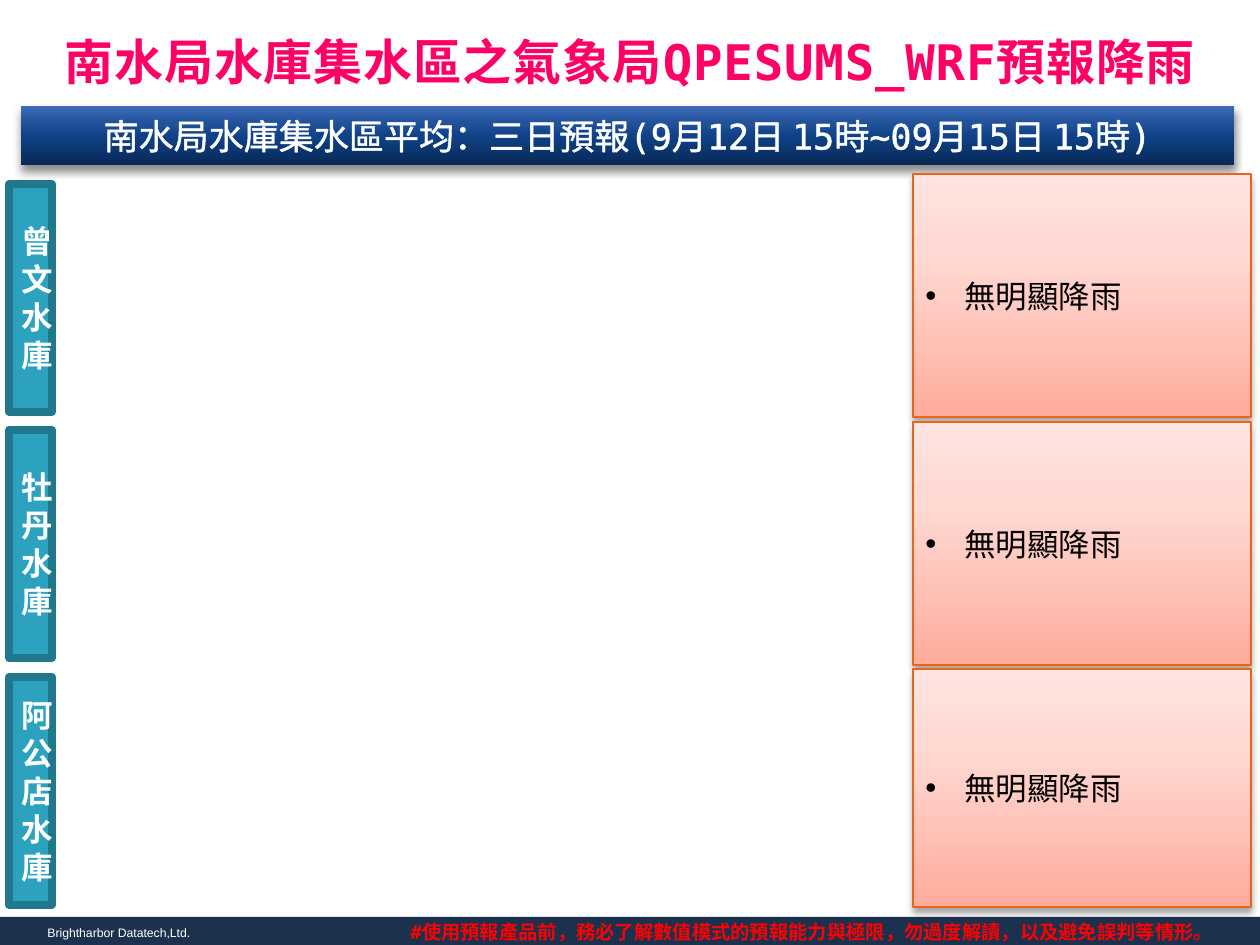
"""Build the reservoir rain forecast slide."""
from dataclasses import dataclass

from lxml import etree
from pptx import Presentation
from pptx.dml.color import RGBColor
from pptx.enum.shapes import MSO_SHAPE
from pptx.enum.text import MSO_ANCHOR, PP_ALIGN
from pptx.oxml import parse_xml
from pptx.oxml.ns import qn
from pptx.util import Pt

PX = 914400 // 126
RECT = MSO_SHAPE.RECTANGLE
TOP, MID = MSO_ANCHOR.TOP, MSO_ANCHOR.MIDDLE
LEFT, CENTER = PP_ALIGN.LEFT, PP_ALIGN.CENTER
MONO, SANS = "DejaVu Sans Mono", "Arial"
NS = 'xmlns:a="http://schemas.openxmlformats.org/drawingml/2006/main"'
INK = {
    "white": "FFFFFF", "black": "000000", "pink": "FF0066", "red": "FF0000",
    "navy": "1C314E", "teal": "2DA2BF", "edge": "21788D", "orange": "EB641B",
}
BLUES = ((0, "072956"), (50, "104288"), (70, "205199"), (100, "3D6BB9"))
PEACH = ((0, "FFAC9C"), (65, "FFD8D2"), (100, "FFE4DF"))


@dataclass(frozen=True)
class Box:
    """Place of an item in px."""
    x: int
    y: int
    w: int
    h: int

    def emu(self) -> tuple:
        """Return the place in EMU."""
        return tuple(n * PX for n in (self.x, self.y, self.w, self.h))


@dataclass(frozen=True)
class Dam:
    """A reservoir with its label and forecast panel."""
    name: str
    tag: Box
    panel: Box


DAMS = (
    Dam("曾文水庫", Box(9, 184, 43, 228), Box(913, 174, 338, 243)),
    Dam("牡丹水庫", Box(9, 430, 43, 228), Box(913, 422, 338, 243)),
    Dam("阿公店水庫", Box(9, 677, 43, 228), Box(913, 669, 338, 238)),
)


def tint(name: str) -> RGBColor:
    """Look up a colour."""
    return RGBColor.from_string(INK[name])


def write(shape, text: str, *, size: int, ink: str, font: str = MONO,
          bold: bool = False, align=LEFT, anchor=TOP, before: int = 0,
          track: int = 0, rim: int = 0, dot: bool = False) -> None:
    """Put one formatted paragraph in a shape."""
    frame = shape.text_frame
    frame.word_wrap = True
    frame.vertical_anchor = anchor
    para = frame.paragraphs[0]
    para.alignment = align
    para.space_before = Pt(before)
    run = para.add_run()
    run.text = text
    run.font.size = Pt(size)
    run.font.name = font
    run.font.bold = bold
    run.font.color.rgb = tint(ink)
    props = run.font._element
    if track:
        props.set("spc", str(track))
    if rim:
        props.insert(0, parse_xml(
            f'<a:ln {NS} w="{rim}"><a:solidFill><a:srgbClr val="{INK[ink]}"/>'
            '</a:solidFill></a:ln>'))
    if dot:
        head = para._p.get_or_add_pPr()
        head.set("marL", str(39 * PX))
        head.set("indent", str(-39 * PX))
        etree.SubElement(head, qn("a:buFont")).set("typeface", SANS)
        etree.SubElement(head, qn("a:buChar")).set("char", "•")


def block(slide, box: Box, fill: str, line: str = "", width: float = 0):
    """Draw a flat rectangle."""
    shape = slide.shapes.add_shape(RECT, *box.emu())
    shape.shadow.inherit = False
    shape.fill.solid()
    shape.fill.fore_color.rgb = tint(fill)
    if line:
        shape.line.color.rgb = tint(line)
        shape.line.width = Pt(width)
    else:
        shape.line.fill.background()
    return shape


def shade(shape, stops: tuple, alpha: int, blur: int, dist: int) -> None:
    """Give a shape an upward gradient and a drop shadow."""
    props = shape._element.spPr
    marks = "".join(f'<a:gs pos="{at * 1000}"><a:srgbClr val="{ink}"/></a:gs>'
                    for at, ink in stops)
    props.replace(props.find(qn("a:solidFill")), parse_xml(
        f'<a:gradFill {NS} rotWithShape="1"><a:gsLst>{marks}</a:gsLst>'
        '<a:lin ang="16200000" scaled="0"/></a:gradFill>'))
    props.find(qn("a:effectLst")).append(parse_xml(
        f'<a:outerShdw {NS} blurRad="{Pt(blur)}" dist="{Pt(dist)}" '
        'dir="5400000" rotWithShape="0">'
        f'<a:srgbClr val="{INK["black"]}"><a:alpha val="{alpha * 1000}"/>'
        '</a:srgbClr></a:outerShdw>'))


def label(slide, box: Box, text: str, **form) -> None:
    """Add a text box."""
    write(slide.shapes.add_textbox(*box.emu()), text, **form)


def main() -> None:
    """Build and save the slide."""
    deck = Presentation()
    deck.slide_width, deck.slide_height = 1260 * PX, 945 * PX
    slide = deck.slides.add_slide(deck.slide_layouts[6])

    block(slide, Box(0, 917, 1260, 28), "navy")
    label(slide, Box(35, 919, 362, 28), "Brightharbor Datatech,Ltd.",
          size=7, ink="white", font=SANS)
    label(slide, Box(0, -4, 1260, 129), "南水局水庫集水區之氣象局QPESUMS_WRF預報降雨",
          size=28, ink="pink", bold=True, align=CENTER, anchor=MID, track=50)

    banner = block(slide, Box(21, 106, 1213, 59), "navy")
    shade(banner, BLUES, alpha=45, blur=5, dist=3)
    write(banner, "南水局水庫集水區平均：三日預報(9月12日 15時~09月15日 15時)",
          size=20, ink="white", align=CENTER, anchor=MID, before=4, rim=18400)
    label(slide, Box(398, 914, 1116, 36),
          "#使用預報產品前，務必了解數值模式的預報能力與極限，勿過度解讀，以及避免誤判等情形。",
          size=11, ink="red", bold=True)

    for dam in DAMS:
        tag = block(slide, dam.tag, "teal", "edge", 4.33)
        write(tag, dam.name, size=18, ink="white", bold=True,
              align=CENTER, anchor=MID)
        panel = block(slide, dam.panel, "white", "orange", 0.75)
        shade(panel, PEACH, alpha=35, blur=4, dist=3)
        write(panel, "無明顯降雨", size=18, ink="black", anchor=MID, dot=True)

    deck.save("out.pptx")


if __name__ == "__main__":
    main()
